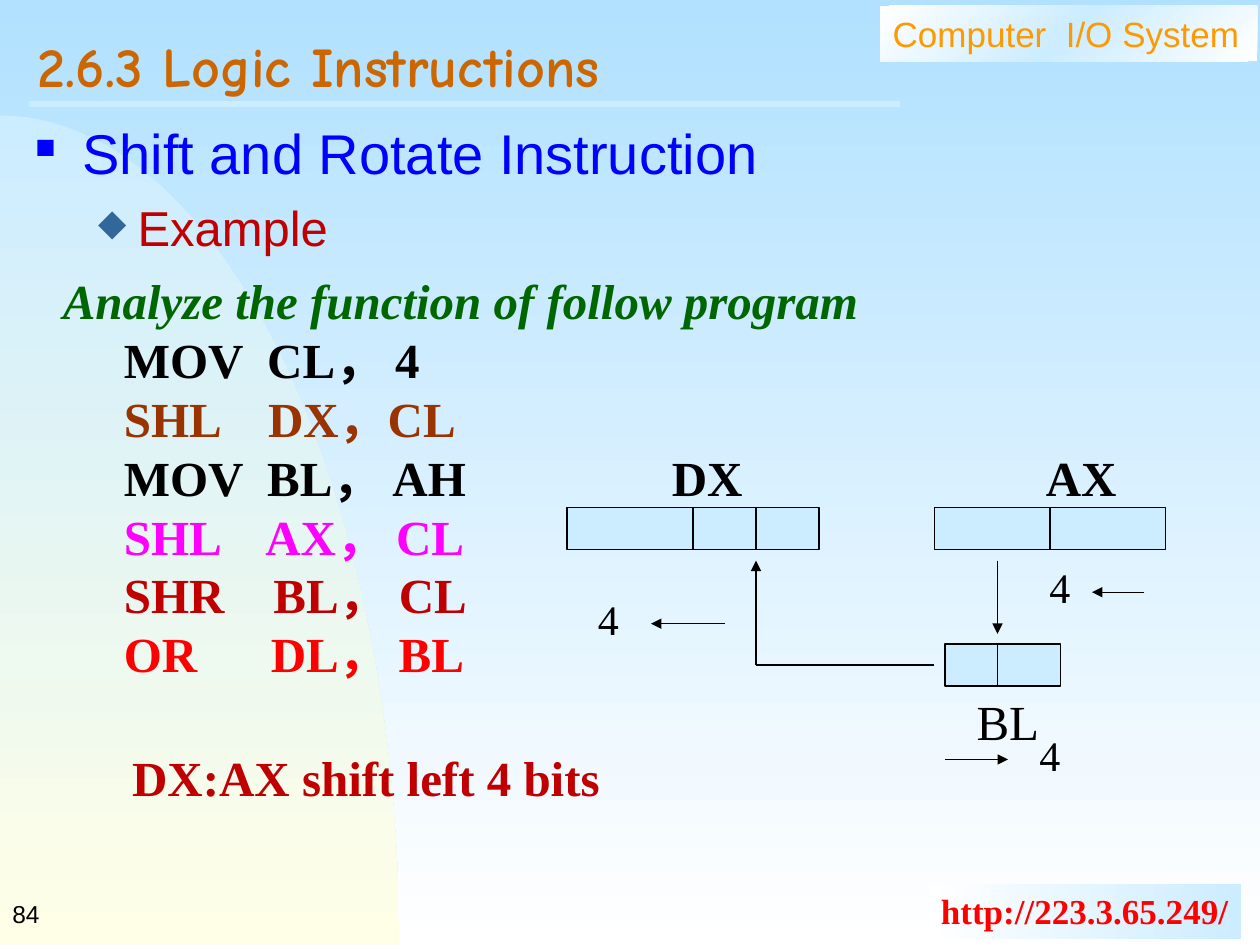
from copy import deepcopy
from math import cos, pi, sin

from lxml import etree
from pptx import Presentation
from pptx.dml.color import RGBColor
from pptx.enum.shapes import MSO_CONNECTOR, MSO_SHAPE
from pptx.enum.text import MSO_ANCHOR, PP_ALIGN
from pptx.oxml.ns import qn
from pptx.util import Pt

LINE, RECT = MSO_CONNECTOR.STRAIGHT, MSO_SHAPE.RECTANGLE
TOP, MIDDLE, LEFT = MSO_ANCHOR.TOP, MSO_ANCHOR.MIDDLE, PP_ALIGN.LEFT
SANS, SERIF, HAND = "Arial", "Times New Roman", "Comic Neue"

C = {
    "sky": "B1E1FF", "white": "FFFFFF", "pale": "CCECFF", "cream": "FFFFE7",
    "orange": "FF9900", "title": "CC6600", "blue": "0000FF", "steel": "336699",
    "black": "000000", "green": "006600", "brown": "993300",
    "pink": "FF00FF", "dark red": "C00000", "red": "FF0000",
}
W, H = 720, 540

TITLE = "2.6.3 Logic Instructions"
# text, size, colour, left margin, hanging indent, space before, bullet, bullet colour, bullet %
OUTLINE = [
    ("Shift and Rotate Instruction", 32, "blue", 27, 27, 0, "■", "blue", 50),
    ("Example", 28, "dark red", 58.5, 22.5, 7, "◆", "steel", 75),
]
PROGRAM = [
    ("Analyze the function of follow program", "green"),
    ("     MOV  CL， 4", "black"),
    ("     SHL    DX，CL", "brown"),
    ("     MOV  BL， AH", "black"),
    ("     SHL    AX， CL", "pink"),
    ("     SHR    BL， CL", "dark red"),
    ("     OR      DL， BL", "red"),
]
# text, left, top, width, height, font, size, colour, bold
LABELS = [
    ("84", 0, 504, 150, 36, SANS, 14, "black", False),
    ("DX", 376.8, 252, 60, 41, SERIF, 28, "black", True),
    ("AX", 590.5, 252, 60, 41, SERIF, 28, "black", True),
    ("BL", 551, 391.7, 50, 41, SERIF, 28, "black", False),
    ("4", 586.8, 413.3, 26, 36, SERIF, 24, "black", False),
    ("4", 334.6, 335.5, 26, 36, SERIF, 24, "black", False),
    ("4", 592.6, 317.5, 26, 36, SERIF, 24, "black", False),
    ("DX:AX shift left 4 bits", 68.4, 423.4, 281.5, 41, SERIF, 28, "dark red", True),
]
# left, top, width, height, halved at the middle
REGISTERS = [
    (324, 290, 144, 24, True),
    (534, 290, 132, 24, True),
    (540, 368, 66, 24, False),
]
# x1, y1, x2, y2, arrowhead at the end
LINES = [
    (432, 290, 432, 314, False),
    (570, 368, 570, 392, False),
    (570, 320.4, 570, 362.2, True),
    (540, 434, 576, 434, True),
    (414, 356.4, 372, 356.4, True),
    (654, 338.4, 624, 338.4, True),
    (534, 380, 432, 380, False),
    (432, 380, 432, 320.4, True),
]


def rgb(name):
    return RGBColor.from_string(C[name])


def pts(*values):
    return [Pt(v) for v in values]


def add_gradient(fill, first, last, clockwise):
    fill.gradient()
    fill.gradient_angle = (360 - clockwise) % 360
    for stop, name, position in zip(fill.gradient_stops, (first, last), (0, 1)):
        stop.color.rgb = rgb(name)
        stop.position = position


def add_run(p, text, font, size, color, bold=False, italic=False):
    r = p.add_run()
    r.text = text
    r.font.name, r.font.size = font, Pt(size)
    r.font.bold, r.font.italic = bold, italic
    r.font.color.rgb = rgb(color)


def add_text(s, box, wrap=False, anchor=TOP):
    tf = s.shapes.add_textbox(*pts(*box)).text_frame
    tf.word_wrap, tf.vertical_anchor = wrap, anchor
    return tf


def add_box(s, box):
    sp = s.shapes.add_shape(RECT, *pts(*box))
    sp.shadow.inherit = False
    return sp


def add_banner(s, box, text, font, color, bold, first, last, angle):
    sp = add_box(s, box)
    add_gradient(sp.fill, first, last, angle)
    sp.line.fill.background()
    tf = sp.text_frame
    tf.word_wrap, tf.vertical_anchor = False, TOP
    tf.paragraphs[0].alignment = LEFT
    add_run(tf.paragraphs[0], text, font, 20, color, bold)
    return sp


def add_line(s, ends, color="black", width=0.75, arrow=False):
    line = s.shapes.add_connector(LINE, *pts(*ends))
    line.line.color.rgb, line.line.width = rgb(color), Pt(width)
    if arrow:
        etree.SubElement(line.line._get_or_add_ln(), qn("a:tailEnd"), type="triangle")
    etree.SubElement(line._element.spPr, qn("a:effectLst"))
    return line


def add_bullet(p, char, color, percent, margin, hang):
    pPr = p._p.get_or_add_pPr()
    pPr.set("marL", str(Pt(margin)))
    pPr.set("indent", str(-Pt(hang)))
    clr = etree.SubElement(pPr, qn("a:buClr"))
    etree.SubElement(clr, qn("a:srgbClr"), val=C[color])
    etree.SubElement(pPr, qn("a:buSzPct"), val=str(percent * 1000))
    etree.SubElement(pPr, qn("a:buChar"), char=char)


def add_backdrop(s):
    add_gradient(s.background.fill, "sky", "white", 90)
    rx, ry, steps = 228, 474, 48
    arc = [(rx * sin(a), H - ry * cos(a))
           for a in (pi / 2 * i / steps for i in range(1, steps + 1))]
    fb = s.shapes.build_freeform(0, Pt(H - ry))
    fb.add_line_segments([pts(*xy) for xy in arc + [(0, H)]], close=True)
    sp = fb.convert_to_shape()
    sp.shadow.inherit = False
    add_gradient(sp.fill, "pale", "cream", 90)
    sp.line.fill.background()

    header = add_banner(s, (503, 3.4, 215.5, 31.5), "Computer  I/O System",
                        SANS, "orange", False, "white", "white", 45)
    first = header._element.spPr.find(".//" + qn("a:gs"))
    middle = deepcopy(first)
    middle.set("pos", "50000")
    middle[0].set("val", C["pale"])
    first.addnext(middle)
    add_banner(s, (530.6, 505, 178.6, 31.5), "http://223.3.65.249/",
               SERIF, "red", True, "white", "pale", 0)
    add_line(s, (16.8, 59.4, 514.5, 59.4), "pale", 3)


def add_title(s):
    sp = s.shapes.title
    sp.left, sp.top, sp.width, sp.height = pts(14.4, 14.4, 687.6, 55.4)
    sp.text_frame.vertical_anchor = MIDDLE
    p = sp.text_frame.paragraphs[0]
    p.alignment, p.line_spacing = LEFT, 0.7
    add_run(p, TITLE, HAND, 32, "title", True)


def add_contents(s):
    tf = add_text(s, (13, 64, 690.5, 432), wrap=True)
    for i, (text, size, color, margin, hang, before, char, tint, pct) in enumerate(OUTLINE):
        p = tf.add_paragraph() if i else tf.paragraphs[0]
        p.space_before = Pt(before)
        add_bullet(p, char, tint, pct, margin, hang)
        add_run(p, text, SANS, size, color)

    tf = add_text(s, (28.8, 151.2, 618.5, 242.6))
    for i, (text, color) in enumerate(PROGRAM):
        p = tf.add_paragraph() if i else tf.paragraphs[0]
        add_run(p, text, SERIF, 28, color, bold=True, italic=i == 0)


def add_diagram(s):
    for x, y, w, h, halved in REGISTERS:
        sp = add_box(s, (x, y, w, h))
        sp.fill.solid()
        sp.fill.fore_color.rgb = rgb("pale")
        sp.line.color.rgb, sp.line.width = rgb("black"), Pt(0.75)
        if halved:
            line = add_line(s, (x + w / 2, y, x + w / 2, y + h))
            line.begin_connect(sp, 0)
            line.end_connect(sp, 2)
    for *ends, arrow in LINES:
        add_line(s, ends, arrow=arrow)
    for text, x, y, w, h, font, size, color, bold in LABELS:
        tf = add_text(s, (x, y, w, h), anchor=MIDDLE if font == SANS else TOP)
        add_run(tf.paragraphs[0], text, font, size, color, bold)


def main():
    prs = Presentation()
    prs.slide_width, prs.slide_height = pts(W, H)
    s = prs.slides.add_slide(prs.slide_layouts[5])
    add_backdrop(s)
    add_title(s)
    add_contents(s)
    add_diagram(s)
    prs.save("out.pptx")


if __name__ == "__main__":
    main()
